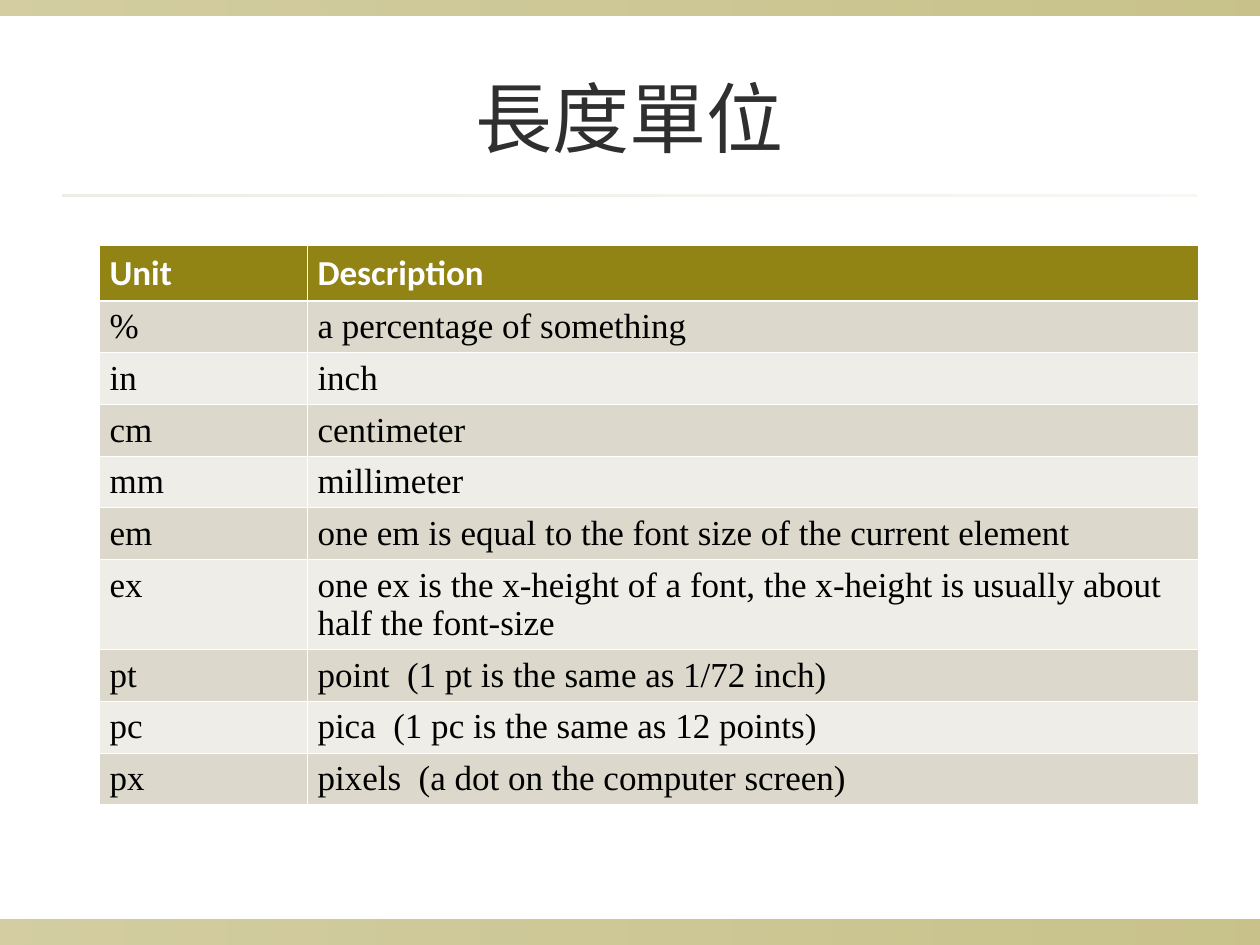
from lxml import etree
from pptx import Presentation
from pptx.dml.color import RGBColor
from pptx.enum import shapes, text
from pptx.oxml.ns import qn
from pptx.util import Inches, Pt

OLIVE = RGBColor(0x91, 0x84, 0x15)
SAND = RGBColor(0xDC, 0xD9, 0xCC)
PALE = RGBColor(0xEE, 0xED, 0xE7)
CHARCOAL = RGBColor(0x2F, 0x2F, 0x2F)
WHITE = RGBColor(0xFF, 0xFF, 0xFF)
BLACK = RGBColor(0, 0, 0)

UNITS = [
    ("Unit", "Description"),
    ("%", "a percentage of something"),
    ("in", "inch"),
    ("cm", "centimeter"),
    ("mm", "millimeter"),
    ("em", "one em is equal to the font size of the current element"),
    ("ex", "one ex is the x-height of a font, the x-height is usually about half the font-size"),
    ("pt", "point  (1 pt is the same as 1/72 inch)"),
    ("pc", "pica  (1 pc is the same as 12 points)"),
    ("px", "pixels  (a dot on the computer screen)"),
]


def add_band(left, top, width, height, color, opacities):
    """Add a bar that fades from left to right."""
    band = slide.shapes.add_shape(
        shapes.MSO_SHAPE.RECTANGLE, Inches(left), Inches(top), Inches(width), Inches(height))
    band.shadow.inherit = False
    band.line.fill.background()
    band.fill.gradient()
    band.fill.gradient_angle = 0
    for stop in band.fill.gradient_stops:
        stop.color.rgb = color
    for rgb, opacity in zip(band._element.spPr.iter(qn("a:srgbClr")), opacities):
        etree.SubElement(rgb, qn("a:alpha"), val=str(opacity * 1000))


def add_border(cell, side, points):
    """Draw a white line on one side of a cell; call before filling the cell."""
    line = etree.SubElement(cell._tc.get_or_add_tcPr(), qn("a:" + side), w=str(Pt(points)))
    solid = etree.SubElement(line, qn("a:solidFill"))
    etree.SubElement(solid, qn("a:srgbClr"), val=str(WHITE))


prs = Presentation()
prs.slide_width, prs.slide_height = Inches(10), Inches(7.5)
slide = prs.slides.add_slide(prs.slide_layouts[5])

# Edge bands and the rule under the title
add_band(0, 7.3, 10, 0.2, OLIVE, (40, 50))
add_band(0, 0, 10, 0.12, OLIVE, (40, 50))
add_band(0.5, 1.54, 9, 0.02, SAND, (50, 20))

# Title
title = slide.shapes.title
title.left, title.top = Inches(0.5), Inches(0.3)
title.width, title.height = Inches(9), Inches(1.25)
title.text_frame.text = "長度單位"
title.text_frame.vertical_anchor = text.MSO_ANCHOR.MIDDLE
heading = title.text_frame.paragraphs[0]
heading.alignment = text.PP_ALIGN.CENTER
heading.font.name = "Roboto"
heading.font.size = Pt(44)
heading.font.color.rgb = CHARCOAL

# Table of units
units = slide.shapes.add_table(
    len(UNITS), 2, Inches(0.79), Inches(1.95), Inches(8.72), Inches(4.32)).table
units.columns[0].width, units.columns[1].width = Inches(1.65), Inches(7.07)

for r, entries in enumerate(UNITS):
    header = r == 0
    units.rows[r].height = Inches(0.67 if entries[0] == "ex" else 0.41)
    for c, entry in enumerate(entries):
        cell = units.cell(r, c)
        cell.text = entry
        cell.margin_left = cell.margin_right = Inches(0.08)
        cell.margin_top = cell.margin_bottom = Inches(0.05)
        add_border(cell, "lnL", 0.45)
        add_border(cell, "lnR", 0.45)
        add_border(cell, "lnT", 1.47 if r == 1 else 0.45)
        add_border(cell, "lnB", 1.47 if header else 0.45)
        cell.fill.solid()
        cell.fill.fore_color.rgb = OLIVE if header else SAND if r % 2 else PALE
        font = cell.text_frame.paragraphs[0].font
        font.name = "Calibri" if header else "Times New Roman"
        font.size = Pt(20)
        font.bold = header
        font.color.rgb = WHITE if header else BLACK

prs.save("out.pptx")
